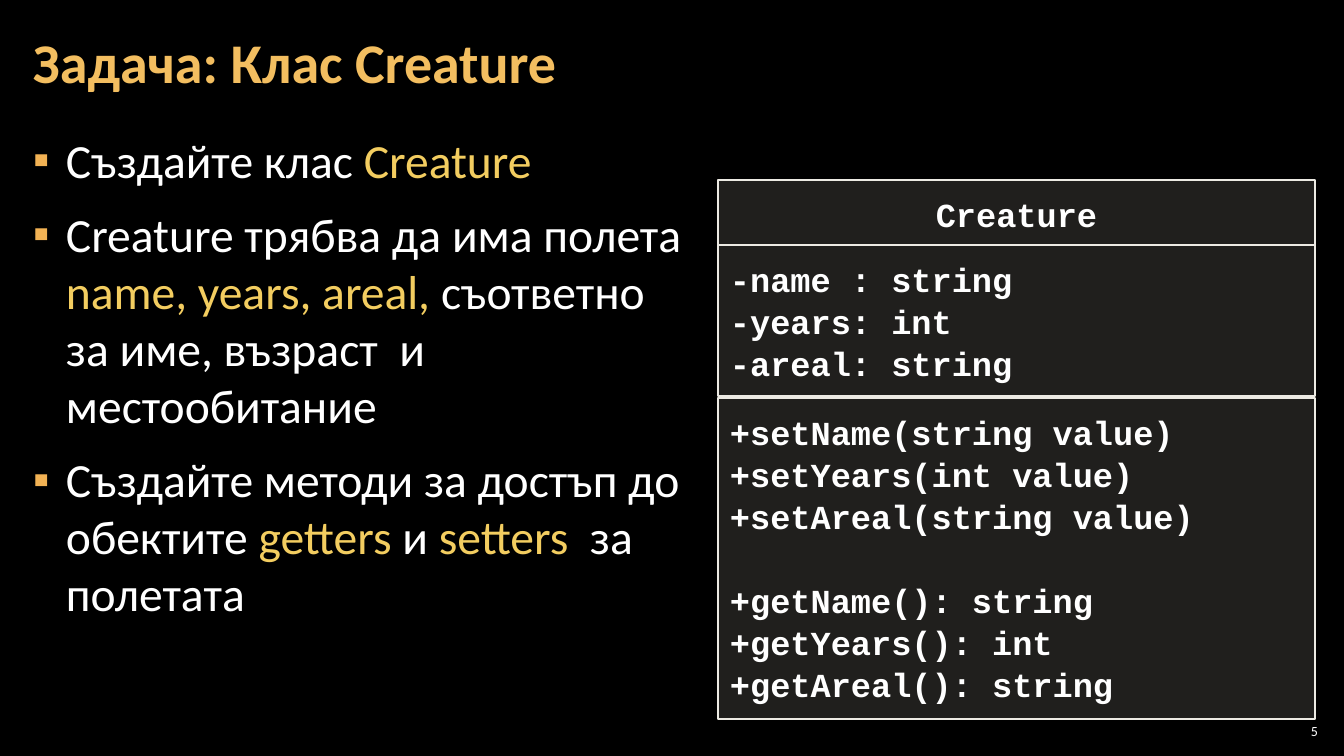
"""Build the slide with the Creature class task and its class diagram."""
from lxml.etree import SubElement as add_element
from pptx import Presentation
from pptx.dml.color import RGBColor
from pptx.enum.shapes import MSO_SHAPE as Shape
from pptx.enum.text import MSO_ANCHOR as Anchor, MSO_AUTO_SIZE as AutoSize, PP_ALIGN as Align
from pptx.oxml.ns import qn
from pptx.util import Inches, Pt

BLACK = RGBColor(0x00, 0x00, 0x00)
WHITE = RGBColor(0xFF, 0xFF, 0xFF)
TITLE_GOLD = RGBColor(0xF3, 0xBE, 0x60)
TERM_GOLD = RGBColor(0xF3, 0xCD, 0x60)
BULLET_GOLD = RGBColor(0xF2, 0xB2, 0x54)
PANEL = RGBColor(0xD9, 0xD5, 0xC7)
BORDER = RGBColor(0xEC, 0xEA, 0xE3)

TITLE = "Задача: Клас Creature"
NUMBER = "5"
TASKS = [
    [("Създайте клас ", WHITE), ("Creature", TERM_GOLD)],
    [("Creature трябва да има полета\n", WHITE), ("name, years, areal, ", TERM_GOLD),
     ("съответно за име, възраст  и местообитание", WHITE)],
    [("Създайте методи за достъп до обектите ", WHITE), ("getters ", TERM_GOLD),
     ("и ", WHITE), ("setters ", TERM_GOLD), (" за полетата", WHITE)],
]
CLASS_PARTS = [
    (180, 65, Align.CENTER, [["Creature"]]),
    (245, 151, Align.LEFT, [["-name : string", "-years: int", "-areal: string"]]),
    (398, 321, Align.LEFT, [
        ["+setName(string value)", "+setYears(int value)", "+setAreal(string value)"],
        ["+getName(): string", "+getYears(): int", "+getAreal(): string"],
    ]),
]
CLASS_LEFT, CLASS_WIDTH = 718, 597
TITLE_AREA = (21, 4, 1055, 122)
BODY_AREA = (21, 127, 687, 614)
NUMBER_AREA = (1275, 720, 47, 21)
INDENT = 33
CODE_LINE = Pt(30)

TITLE_FONT = {"name": "Calibri", "size": Pt(40), "bold": True}
BODY_FONT = {"name": "Calibri", "size": Pt(34), "bold": False}
CODE_FONT = {"name": "Courier New", "size": Pt(24), "bold": True}
NUMBER_FONT = {"name": "Calibri", "size": Pt(10), "bold": False}


def px(length):
    return round(length * Inches(1) / 100.8)


def apply(target, values):
    for name, value in values.items():
        setattr(target, name, value)


def place(box, area):
    apply(box, dict(zip(("left", "top", "width", "height"), map(px, area))))


def set_frame(frame, side, edge, anchor=Anchor.TOP):
    apply(frame, {"word_wrap": True, "auto_size": AutoSize.NONE, "vertical_anchor": anchor,
                  "margin_left": px(side), "margin_right": px(side),
                  "margin_top": px(edge), "margin_bottom": px(edge)})


def add_span(para, text, font, color):
    span = para.add_run()
    span.text = text.rstrip("\n")
    apply(span.font, font)
    span.font.color.rgb = color
    if text.endswith("\n"):
        para.add_line_break()


def next_para(frame, index):
    return frame.add_paragraph() if index else frame.paragraphs[0]


def add_bullet(para):
    properties = para._p.get_or_add_pPr()
    properties.set("marL", str(px(INDENT)))
    properties.set("indent", str(-px(INDENT)))
    color = add_element(properties, qn("a:buClr"))
    add_element(color, qn("a:srgbClr"), val=str(BULLET_GOLD))
    add_element(properties, qn("a:buChar"), char="▪")


def fill_title(box):
    place(box, TITLE_AREA)
    set_frame(box.text_frame, 12, 4, Anchor.MIDDLE)
    para = box.text_frame.paragraphs[0]
    apply(para, {"alignment": Align.LEFT, "line_spacing": 0.9})
    add_span(para, TITLE, TITLE_FONT, TITLE_GOLD)


def fill_tasks(box):
    place(box, BODY_AREA)
    set_frame(box.text_frame, 12, 4)
    for index, task in enumerate(TASKS):
        para = next_para(box.text_frame, index)
        apply(para, {"space_before": Pt(6), "space_after": Pt(6)})
        add_bullet(para)
        for text, color in task:
            add_span(para, text, BODY_FONT, color)


def add_class_part(page, top, height, alignment, groups):
    area = map(px, (CLASS_LEFT, top, CLASS_WIDTH, height))
    box = page.shapes.add_shape(Shape.RECTANGLE, *area)
    box.shadow.inherit = False
    box.fill.solid()
    box.fill.fore_color.rgb = PANEL
    color = box._element.spPr.find(qn("a:solidFill")).find(qn("a:srgbClr"))
    add_element(color, qn("a:alpha"), val="15000")
    box.line.color.rgb = BORDER
    box.line.width = Pt(2)
    set_frame(box.text_frame, 12, 12)
    lines = [(text, group and not row)
             for group, texts in enumerate(groups) for row, text in enumerate(texts)]
    for index, (text, starts_group) in enumerate(lines):
        para = next_para(box.text_frame, index)
        apply(para, {"alignment": alignment, "line_spacing": CODE_LINE,
                     "space_before": CODE_LINE if starts_group else Pt(0)})
        add_span(para, text, CODE_FONT, WHITE)


def add_number(page):
    box = page.shapes.add_textbox(*map(px, NUMBER_AREA))
    set_frame(box.text_frame, 4, 4, Anchor.MIDDLE)
    para = box.text_frame.paragraphs[0]
    para.alignment = Align.RIGHT
    add_span(para, NUMBER, NUMBER_FONT, WHITE)


def main():
    deck = Presentation()
    apply(deck, {"slide_width": px(1344), "slide_height": px(756)})
    page = deck.slides.add_slide(deck.slide_layouts[1])
    page.background.fill.solid()
    page.background.fill.fore_color.rgb = BLACK
    fill_title(page.shapes.title)
    fill_tasks(page.placeholders[1])
    for part in CLASS_PARTS:
        add_class_part(page, *part)
    add_number(page)
    deck.save("out.pptx")


if __name__ == "__main__":
    main()
